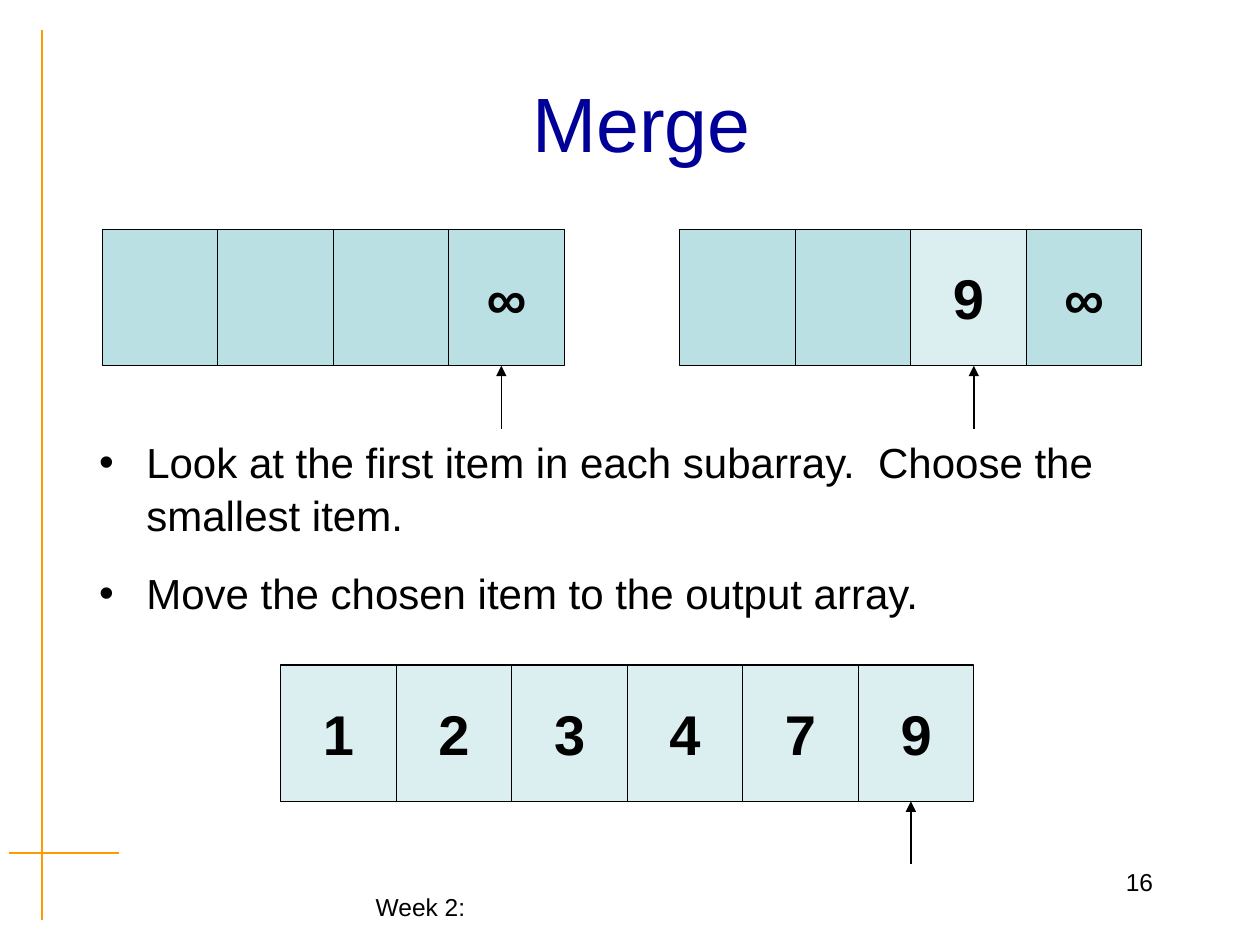
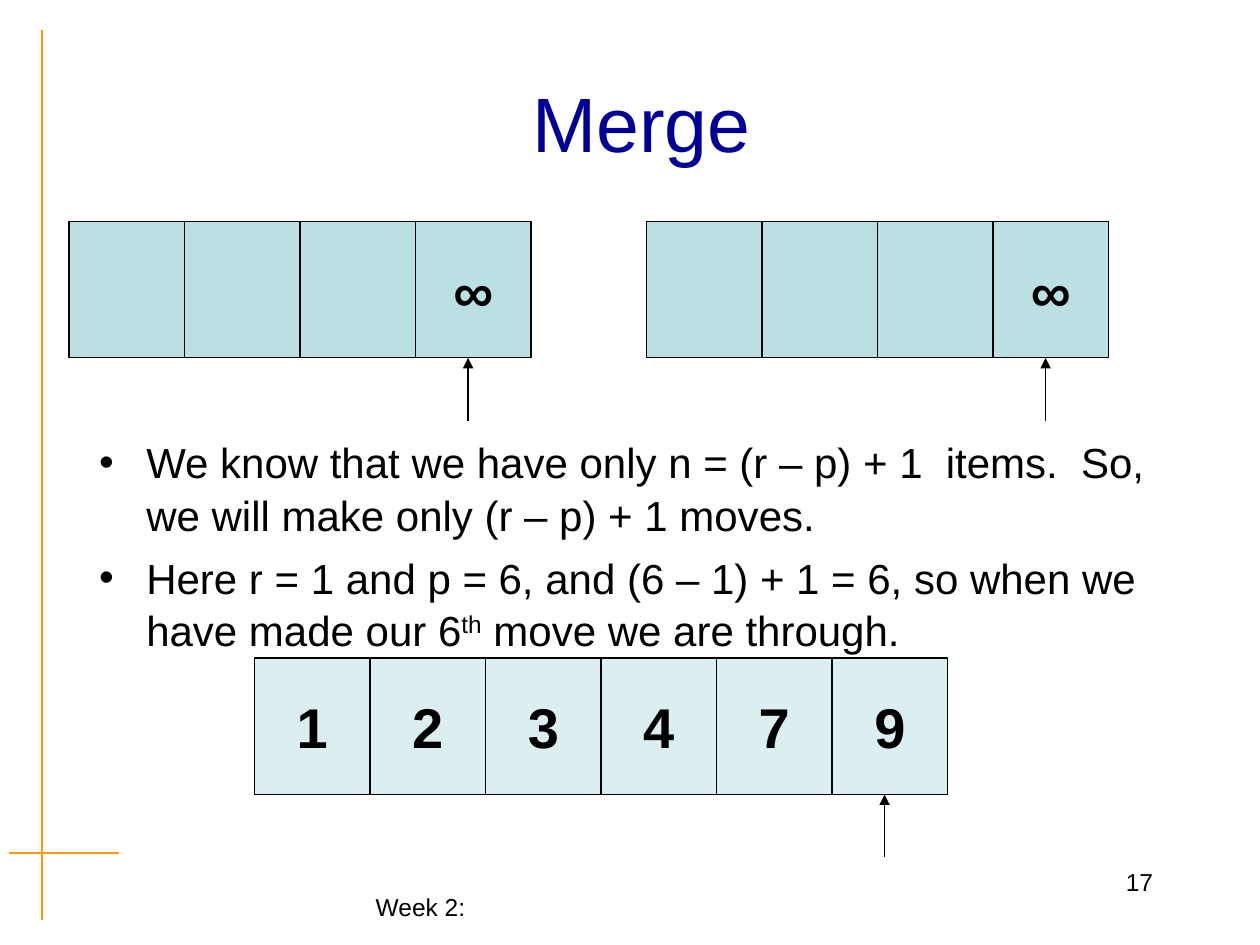
from lxml import etree
from pptx import Presentation
from pptx.dml.color import RGBColor
from pptx.enum import shapes, text
from pptx.oxml import ns
from pptx.util import Pt

HUES = {"ink": "000000", "title": "000099", "rule": "FF9900", "cell": "BBE0E3"}
FONT = "Arial"
CELL_W, CELL_H = 66, 78
ARROW = 36
AIM = 30  # usual distance from a cell's left edge to its arrow

PAGES = [
    {
        "number": "16",
        "left": 58.5, "top": 131, "out_left": 160.5, "out_top": 380,
        "inputs": ["   ∞", "  9∞"],
        "marks": [(3, AIM), (2, 36)],
        "points": [
            (0, ["Look at the first item in each subarray.  Choose the smallest item."]),
            (15, ["Move the chosen item to the output array."]),
        ],
    },
    {
        "number": "17",
        "left": 39.5, "top": 126.5, "out_left": 145.5, "out_top": 376,
        "inputs": ["   ∞", "   ∞"],
        "marks": [(3, AIM), (3, AIM)],
        "points": [
            (0, ["We know that we have only n = (r – p) + 1  items.  So, "
                 "we will make only (r – p) + 1 moves."]),
            (6, ["Here r = 1 and p = 6, and (6 – 1) + 1 = 6, so when we "
                 "have made our 6", "th", " move we are through."]),
        ],
    },
]


def add(parent, tag, **attrs):
    return etree.SubElement(parent, ns.qn(tag), attrs)


class Deck:
    def __init__(self):
        self.prs = Presentation()
        self.prs.slide_width, self.prs.slide_height = Pt(720), Pt(540)
        self.slide = None

    def hue(self, name):
        return RGBColor.from_string(HUES[name])

    def style(self, para, size, hue="ink", bold=False, align=None):
        para.alignment = align
        for run in para.runs:
            run.font.name, run.font.size, run.font.bold = FONT, Pt(size), bold
            run.font.color.rgb = self.hue(hue)

    def page(self, title, number):
        """Start a slide with its title, rules and footer."""
        self.slide = self.prs.slides.add_slide(self.prs.slide_layouts[5])
        self.line(24, 17, 24, 525.5, "rule", 1.19)
        self.line(5, 487.5, 68, 487.5, "rule", 1.19)
        self.label("Week 2:", 63.5, 506, 353.5, 24.5, text.PP_ALIGN.CENTER)
        self.label(number, 516, 492, 150, 36, text.PP_ALIGN.RIGHT)
        head = self.slide.shapes.title
        head.left, head.top, head.width, head.height = Pt(60.5), Pt(24.5), Pt(612), Pt(90)
        frame = head.text_frame
        frame.text = title
        frame.vertical_anchor = text.MSO_ANCHOR.MIDDLE
        self.style(frame.paragraphs[0], 44, "title", align=text.PP_ALIGN.CENTER)

    def box(self, x, y, w, h):
        frame = self.slide.shapes.add_textbox(Pt(x), Pt(y), Pt(w), Pt(h)).text_frame
        frame.word_wrap = True
        return frame

    def label(self, words, x, y, w, h, align):
        frame = self.box(x, y, w, h)
        frame.text = words
        self.style(frame.paragraphs[0], 14, align=align)

    def line(self, x1, y1, x2, y2, hue="ink", width=0.75, arrow=False):
        line = self.slide.shapes.add_connector(
            shapes.MSO_CONNECTOR.STRAIGHT, Pt(x1), Pt(y1), Pt(x2), Pt(y2))
        line.line.color.rgb = self.hue(hue)
        line.line.width = Pt(width)
        if arrow:
            add(line.line._get_or_add_ln(), "a:tailEnd", type="triangle")
        add(line._element.spPr, "a:effectLst")

    def cell(self, mark, x, y):
        """Draw one array slot; a slot that holds a number is half clear."""
        rect = self.slide.shapes.add_shape(
            shapes.MSO_SHAPE.RECTANGLE, Pt(x), Pt(y), Pt(CELL_W), Pt(CELL_H))
        rect.shadow.inherit = False
        rect.fill.solid()
        rect.fill.fore_color.rgb = self.hue("cell")
        rect.line.color.rgb = self.hue("ink")
        rect.line.width = Pt(0.75)
        if mark.isdigit():
            tint = rect._element.spPr.find(ns.qn("a:solidFill"))[0]
            add(tint, "a:alpha", val="50000")
        if mark.strip():
            frame = rect.text_frame
            frame.text = mark
            frame.word_wrap = False
            frame.vertical_anchor = text.MSO_ANCHOR.MIDDLE
            self.style(frame.paragraphs[0], 32, bold=True, align=text.PP_ALIGN.CENTER)

    def array(self, marks, x, y, index, aim=AIM):
        """Draw a row of slots and the arrow below the slot at index."""
        for i, mark in enumerate(marks):
            self.cell(mark, x + i * CELL_W, y)
        tip, foot = x + index * CELL_W + aim, y + CELL_H
        self.line(tip, foot + ARROW, tip, foot, arrow=True)

    def bullets(self, points):
        """Write points, each a gap above and runs; every second run is raised."""
        frame = self.box(49.5, 245, 614, 130)
        for i, (gap, parts) in enumerate(points):
            para = frame.add_paragraph() if i else frame.paragraphs[0]
            for j, part in enumerate(parts):
                run = para.add_run()
                run.text = part
                if j % 2:
                    run._r.get_or_add_rPr().set("baseline", "30000")
            self.style(para, 24)
            para.space_before = Pt(gap)
            para.line_spacing = 1.04
            props = para._p.get_or_add_pPr()
            props.set("marL", str(Pt(27)))
            props.set("indent", str(-Pt(27)))
            add(props, "a:buFont", typeface=FONT)
            add(props, "a:buChar", char="•")


def main():
    deck = Deck()
    for page in PAGES:
        deck.page("Merge", page["number"])
        deck.bullets(page["points"])
        for i, (marks, (index, aim)) in enumerate(zip(page["inputs"], page["marks"])):
            deck.array(marks, page["left"] + i * 5 * CELL_W, page["top"], index, aim)
        deck.array("123479", page["out_left"], page["out_top"], 5)
    deck.prs.save("out.pptx")


if __name__ == "__main__":
    main()
